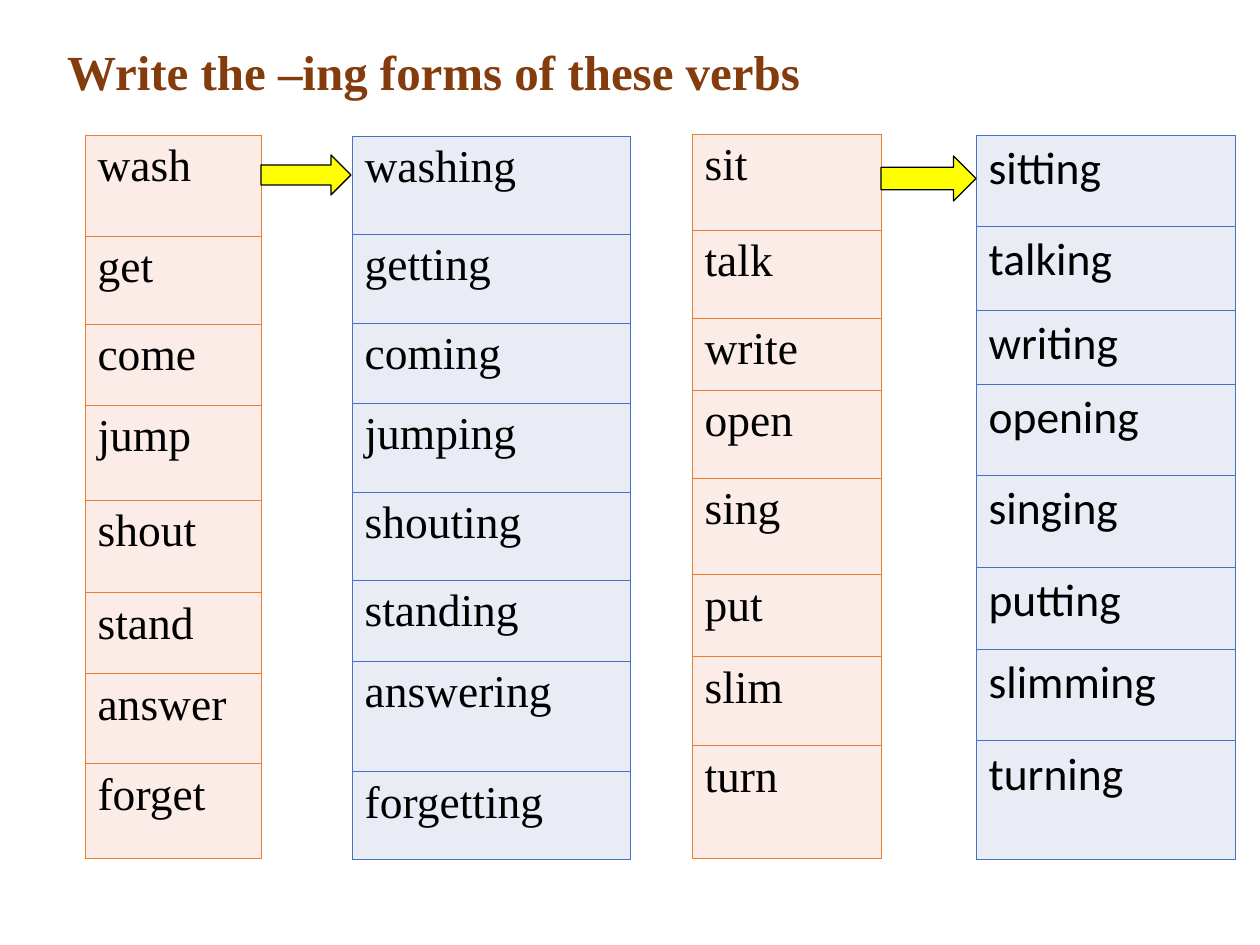
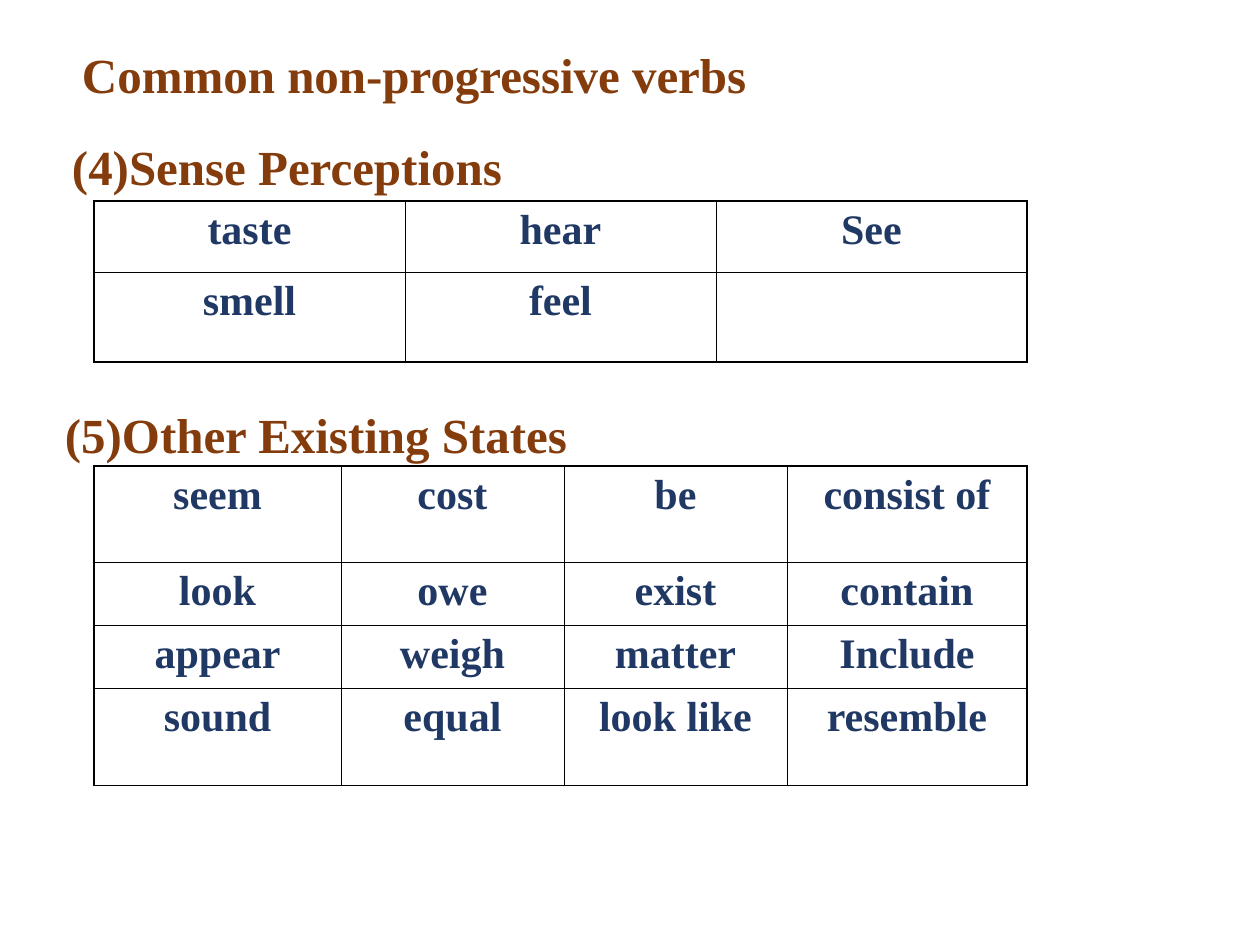
"""Build two slides on English -ing forms and non-progressive verbs."""
from lxml import etree
from pptx import Presentation
from pptx.dml.color import RGBColor
from pptx.enum.shapes import MSO_SHAPE
from pptx.enum.text import MSO_ANCHOR, MSO_AUTO_SIZE, PP_ALIGN
from pptx.oxml.ns import qn
from pptx.util import Emu, Pt

PX = 914400 / 126
LEFT, CENTER = PP_ALIGN.LEFT, PP_ALIGN.CENTER
TOP, MIDDLE = MSO_ANCHOR.TOP, MSO_ANCHOR.MIDDLE
RIGHT_ARROW = MSO_SHAPE.RIGHT_ARROW
NO_AUTOFIT = MSO_AUTO_SIZE.NONE
TITLE_ONLY = 5

SERIF, SANS = "Times New Roman", "Calibri"
BROWN, NAVY, BLACK, WHITE, YELLOW = "843C0C", "203864", "000000", "FFFFFF", "FFFF00"
VERB_COLORS = ("FCECE8", "ED7D31")
ING_COLORS = ("E9EBF5", "4472C4")
THIN, THICK = 0.45, 1.08

ING_TITLE = ("Write the –ing forms of these verbs", (54, 33, 1134, 84))
VERB_LISTS = [
    {"words": "wash get come jump shout stand answer forget", "at": (85, 135), "width": 176,
     "rows": [101, 88, 81, 95, 93, 81, 90, 95], "colors": VERB_COLORS, "font": SERIF},
    {"words": "sit talk write open sing put slim turn", "at": (692, 134), "width": 189,
     "rows": [96, 88, 72, 88, 97, 82, 89, 113], "colors": VERB_COLORS, "font": SERIF},
    {"words": "sitting talking writing opening singing putting slimming turning",
     "at": (976, 135), "width": 259,
     "rows": [91, 84, 74, 91, 92, 82, 92, 119], "colors": ING_COLORS, "font": SANS},
    {"words": "washing getting coming jumping shouting standing answering forgetting",
     "at": (352, 136), "width": 278,
     "rows": [98, 89, 80, 89, 88, 81, 111, 88], "colors": ING_COLORS, "font": SERIF},
]
ARROWS = [(261, 155, 90, 40), (881, 156, 95, 45)]

STATE_TITLE = ("Common non-progressive verbs", (69, 33, 1191, 72))
STATE_GROUPS = [
    {"heading": ("(4)Sense Perceptions", (59, 125, 953, 72)), "at": (94, 201),
     "words": [["taste", "hear", "See"], ["smell", "feel", ""]],
     "cols": [311] * 3, "rows": [71, 90], "bottom": THICK},
    {"heading": ("(5)Other Existing States", (52, 393, 908, 72)), "at": (94, 466),
     "words": [["seem", "cost", "be", "consist of"],
               ["look", "owe", "exist", "contain"],
               ["appear", "weigh", "matter", "Include"],
               ["sound", "equal", "look like", "resemble"]],
     "cols": [247, 223, 223, 240], "rows": [96, 63, 63, 97], "bottom": THIN},
]


def px(length):
    """Turn pixels into EMU."""
    return Emu(round(length * PX))


def rgb(color):
    """Turn a hex string into a colour."""
    return RGBColor.from_string(color)


def paint(part, color):
    """Give a part a solid fill."""
    part.fill.solid()
    part.fill.fore_color.rgb = rgb(color)


def write(frame, text, font, size, color, bold, align):
    """Write one formatted paragraph."""
    frame.text = text
    paragraph = frame.paragraphs[0]
    paragraph.alignment = align
    for run in paragraph.runs:
        run.font.name, run.font.size, run.font.bold = font, Pt(size), bold
        run.font.color.rgb = rgb(color)


def place_heading(heading, text, box, anchor=TOP):
    """Place and style a title or a section heading."""
    heading.left, heading.top, heading.width, heading.height = map(px, box)
    paint(heading, WHITE)
    frame = heading.text_frame
    write(frame, text, SERIF, 28, BROWN, True, LEFT)
    frame.auto_size, frame.word_wrap = NO_AUTOFIT, True
    frame.vertical_anchor = anchor
    frame.margin_left = frame.margin_right = px(13)
    frame.margin_top, frame.margin_bottom = px(11 if anchor == TOP else 6), px(6)


def set_borders(cell, color, widths):
    """Draw the left, right, top and bottom borders of a cell."""
    properties = cell._tc.get_or_add_tcPr()
    for side, width in zip("LRTB", widths):
        border = etree.SubElement(properties, qn(f"a:ln{side}"), w=str(Pt(width)))
        fill = etree.SubElement(border, qn("a:solidFill"))
        etree.SubElement(fill, qn("a:srgbClr"), val=color)


def add_grid(slide, words, at, cols, rows, border, outer, text_style, fill=None):
    """Add a table whose outer border widths are left, right, top and bottom."""
    sizes = map(px, (*at, sum(cols), sum(rows)))
    table = slide.shapes.add_table(len(rows), len(cols), *sizes).table
    table.first_row = table.horz_banding = False
    for column, width in zip(table.columns, cols):
        column.width = px(width)
    for row, height in zip(table.rows, rows):
        row.height = px(height)
    for r, line in enumerate(words):
        for c, word in enumerate(line):
            cell = table.cell(r, c)
            edges = (c == 0, c == len(cols) - 1, r == 0, r == len(rows) - 1)
            set_borders(cell, border, [o if e else THIN for o, e in zip(outer, edges)])
            if fill:
                paint(cell, fill)
            else:
                cell.fill.background()
            if word:
                write(cell.text_frame, word, *text_style)


def add_arrow(slide, box):
    """Add a yellow arrow from a verb to its -ing form."""
    arrow = slide.shapes.add_shape(RIGHT_ARROW, *map(px, box))
    arrow.shadow.inherit = False
    paint(arrow, YELLOW)
    arrow.line.color.rgb = rgb(BLACK)
    arrow.line.width = Pt(0.75)


def build_ing_slide(slide):
    """Build the verb lists and their -ing forms."""
    place_heading(slide.shapes.title, *ING_TITLE, MIDDLE)
    slide.shapes.title.text_frame.paragraphs[0].line_spacing = 0.9
    for verbs in VERB_LISTS:
        fill, border = verbs["colors"]
        add_grid(slide, [[word] for word in verbs["words"].split()], verbs["at"],
                 [verbs["width"]], verbs["rows"], border, [THIN] * 4,
                 (verbs["font"], 26, BLACK, False, LEFT), fill)
    for box in ARROWS:
        add_arrow(slide, box)


def build_state_slide(slide):
    """Build the tables of non-progressive verbs."""
    place_heading(slide.shapes.title, *STATE_TITLE)
    for group in STATE_GROUPS:
        add_grid(slide, group["words"], group["at"], group["cols"], group["rows"], BLACK,
                 [THICK, THICK, THICK, group["bottom"]], (SERIF, 24, NAVY, True, CENTER))
        text, box = group["heading"]
        place_heading(slide.shapes.add_textbox(*map(px, box)), text, box)


def main():
    """Build and save the presentation."""
    deck = Presentation()
    deck.slide_width, deck.slide_height = px(1260), px(945)
    for build in (build_ing_slide, build_state_slide):
        build(deck.slides.add_slide(deck.slide_layouts[TITLE_ONLY]))
    deck.save("out.pptx")


if __name__ == "__main__":
    main()
